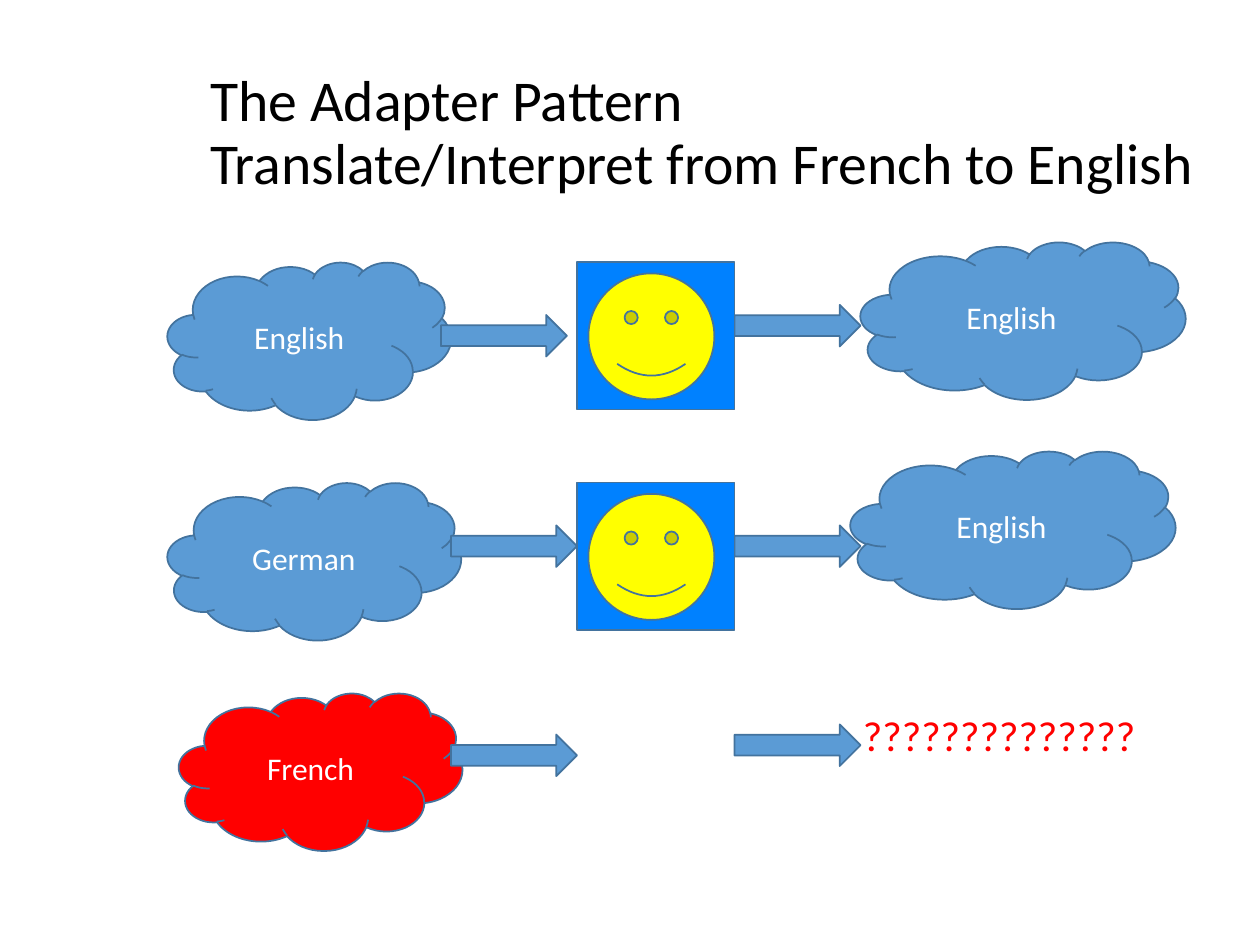
from pptx import Presentation
from pptx.dml.color import RGBColor
from pptx.enum import shapes, text
from pptx.util import Inches, Pt

BLUE, RED, YELLOW, WHITE, BLACK = "5B9BD5", "FF0000", "FFFF00", "FFFFFF", "000000"
BACKDROP, OUTLINE = "0081FF", "43739E"
KINDS = shapes.MSO_SHAPE


def color(hex_value):
    return RGBColor.from_string(hex_value)


def write(frame, wording, size, hex_value, align, anchor):
    settings = {"word_wrap": True, "vertical_anchor": anchor, "text": wording}
    for name, value in settings.items():
        setattr(frame, name, value)
    paragraph = frame.paragraphs[0]
    paragraph.alignment = align
    paragraph.font.color.rgb = color(hex_value)
    for name, value in {"name": "Calibri", "size": Pt(size)}.items():
        setattr(paragraph.font, name, value)
    return paragraph


def add_outlined(slide, kind, box, fill):
    outlined = slide.shapes.add_shape(kind, *map(Inches, box))
    outlined.shadow.inherit = False
    outlined.fill.solid()
    outlined.fill.fore_color.rgb = color(fill)
    outlined.line.color.rgb = color(OUTLINE)
    outlined.line.width = Pt(1)
    return outlined


def add_words(slide, box, wording, size, hex_value, anchor):
    words = slide.shapes.add_textbox(*map(Inches, box))
    return write(words.text_frame, wording, size, hex_value,
                 text.PP_ALIGN.LEFT, anchor)


def add_title(slide, box):
    title = add_words(slide, box,
                      "The Adapter Pattern\vTranslate/Interpret from French to English",
                      33, BLACK, text.MSO_ANCHOR.MIDDLE)
    title.line_spacing = 0.9


def add_cloud(slide, box, language, fill):
    cloud = add_outlined(slide, KINDS.CLOUD, box, fill)
    write(cloud.text_frame, language, 18, WHITE,
          text.PP_ALIGN.CENTER, text.MSO_ANCHOR.MIDDLE)


def add_interpreter(slide, box):
    left, top, _, _ = box
    add_outlined(slide, KINDS.RECTANGLE, box, BACKDROP)
    add_outlined(slide, KINDS.SMILEY_FACE, (left + 0.09, top + 0.09, 1, 1), YELLOW)


def add_translation(slide, box, spoken, fill, cloud_shift, cloud_width,
                    arrow_in, arrow_out):
    left, top, _, height = box
    add_cloud(slide, (left + cloud_shift, top, cloud_width, height), spoken, fill)
    for across, down in (arrow_in, arrow_out):
        add_outlined(slide, KINDS.RIGHT_ARROW,
                     (left + across, top + down, 1, 0.33), BLUE)


def main():
    deck = Presentation()
    deck.slide_width, deck.slide_height = Inches(10), Inches(7.5)
    slide = deck.slides.add_slide(deck.slide_layouts[6])

    add_title(slide, (1.57, 0.3, 8.2, 1.53))
    translations = [
        (2.08, "English", BLUE, 0, 2.25, (2.17, 0.42), (4.5, 0.34)),
        (3.83, "German", BLUE, 0, 2.33, (2.25, 0.34), (4.5, 0.34)),
        (5.5, "French", RED, 0.09, 2.25, (2.25, 0.33), (4.5, 0.25)),
    ]
    for top, *details in translations:
        add_translation(slide, (1.33, top, 8.08, 1.25), *details)
    for top in (2.08, 3.83):
        add_interpreter(slide, (4.58, top, 1.25, 1.17))
    for left, top in ((6.83, 1.92), (6.75, 3.58)):
        add_cloud(slide, (left, top, 2.58, 1.25), "English", BLUE)
    add_words(slide, (6.75, 5.58, 2.42, 0.5), "??????????????", 24, RED,
              text.MSO_ANCHOR.TOP)

    deck.save("out.pptx")


if __name__ == "__main__":
    main()
